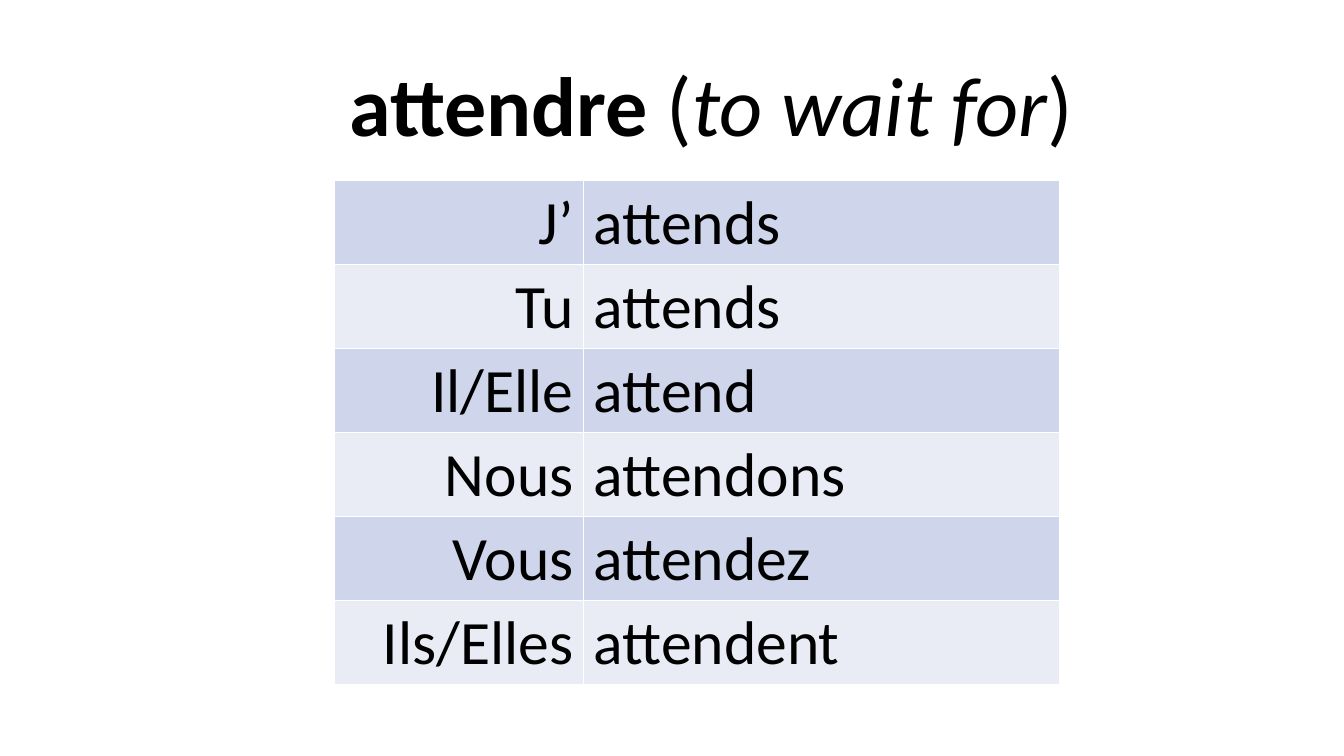
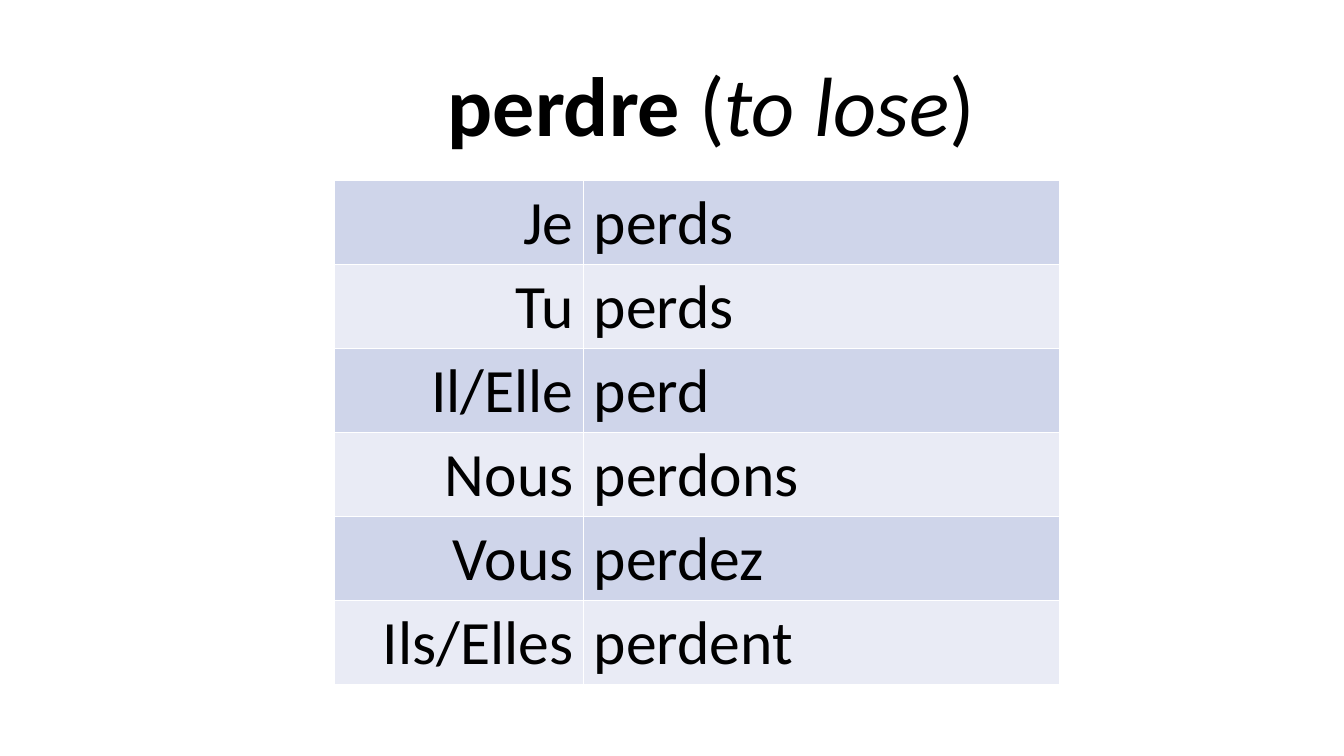
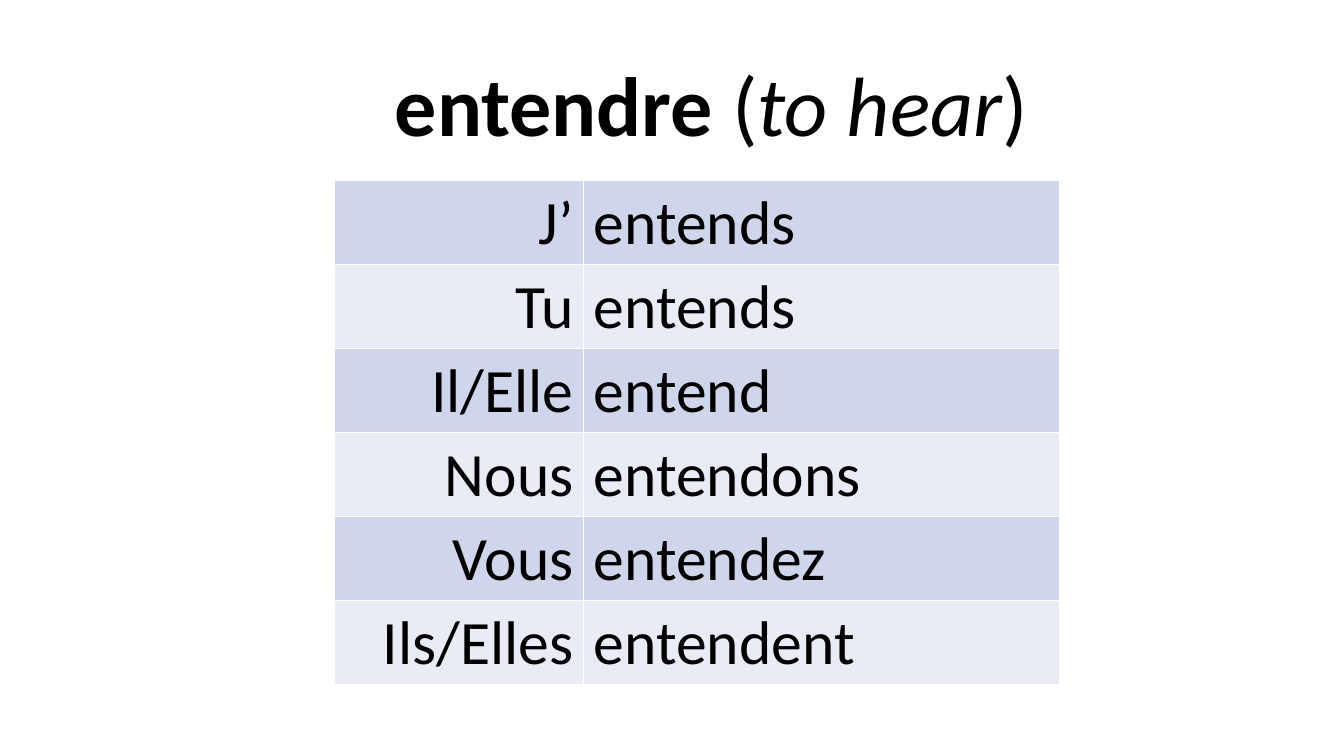
import pptx
import pptx.dml.color
import pptx.enum.text
import pptx.util

Inches = pptx.util.Inches
Pt = pptx.util.Pt
RGBColor = pptx.dml.color.RGBColor
PP_ALIGN = pptx.enum.text.PP_ALIGN

FONT = "Calibri"
COLORS = {"text": "000000", "odd_row": "CFD5EA", "even_row": "E9EBF5"}
COLUMN_WIDTHS = [2.47, 4.72]
TABLE_HEIGHT = 5
PRONOUNS = ["Tu", "Il/Elle", "Nous", "Vous", "Ils/Elles"]
ENDINGS = ["s", "s", "", "ons", "ez", "ent"]
VERBS = [
    ("attend", "to wait for", "J’"),
    ("perd", "to lose", "Je"),
    ("entend", "to hear", "J’"),
]


def style_paragraph(paragraph, size, alignment):
    paragraph.alignment = alignment
    paragraph.font.name = FONT
    paragraph.font.size = Pt(size)
    paragraph.font.color.rgb = RGBColor.from_string(COLORS["text"])


presentation = pptx.Presentation()
presentation.slide_width = Inches(13.33)
presentation.slide_height = Inches(7.5)

for stem, meaning, first_person in VERBS:
    slide = presentation.slides.add_slide(presentation.slide_layouts[6])

    title = slide.shapes.add_textbox(Inches(1.67), Inches(0.44), Inches(10.77), Inches(1.14))
    title.text_frame.word_wrap = True
    title.text_frame.vertical_anchor = pptx.enum.text.MSO_ANCHOR.BOTTOM
    paragraph = title.text_frame.paragraphs[0]
    style_paragraph(paragraph, 60, PP_ALIGN.CENTER)
    paragraph.line_spacing = 0.9
    for text, bold, italic in [
        (stem + "re", True, False),
        (" (", False, False),
        (meaning, False, True),
        (")", False, False),
    ]:
        run = paragraph.add_run()
        run.text = text
        run.font.bold = bold
        run.font.italic = italic

    table = slide.shapes.add_table(
        len(ENDINGS), len(COLUMN_WIDTHS),
        Inches(3.32), Inches(1.79), Inches(sum(COLUMN_WIDTHS)), Inches(TABLE_HEIGHT),
    ).table
    table.first_row = False
    for column, width in zip(table.columns, COLUMN_WIDTHS):
        column.width = Inches(width)

    for row, (pronoun, ending) in enumerate(zip([first_person] + PRONOUNS, ENDINGS)):
        fill_color = COLORS["even_row" if row % 2 else "odd_row"]
        for column, (text, alignment) in enumerate(
            [(pronoun, PP_ALIGN.RIGHT), (stem + ending, PP_ALIGN.LEFT)]
        ):
            cell = table.cell(row, column)
            cell.text = text
            cell.fill.solid()
            cell.fill.fore_color.rgb = RGBColor.from_string(fill_color)
            style_paragraph(cell.text_frame.paragraphs[0], 44, alignment)

presentation.save("out.pptx")
